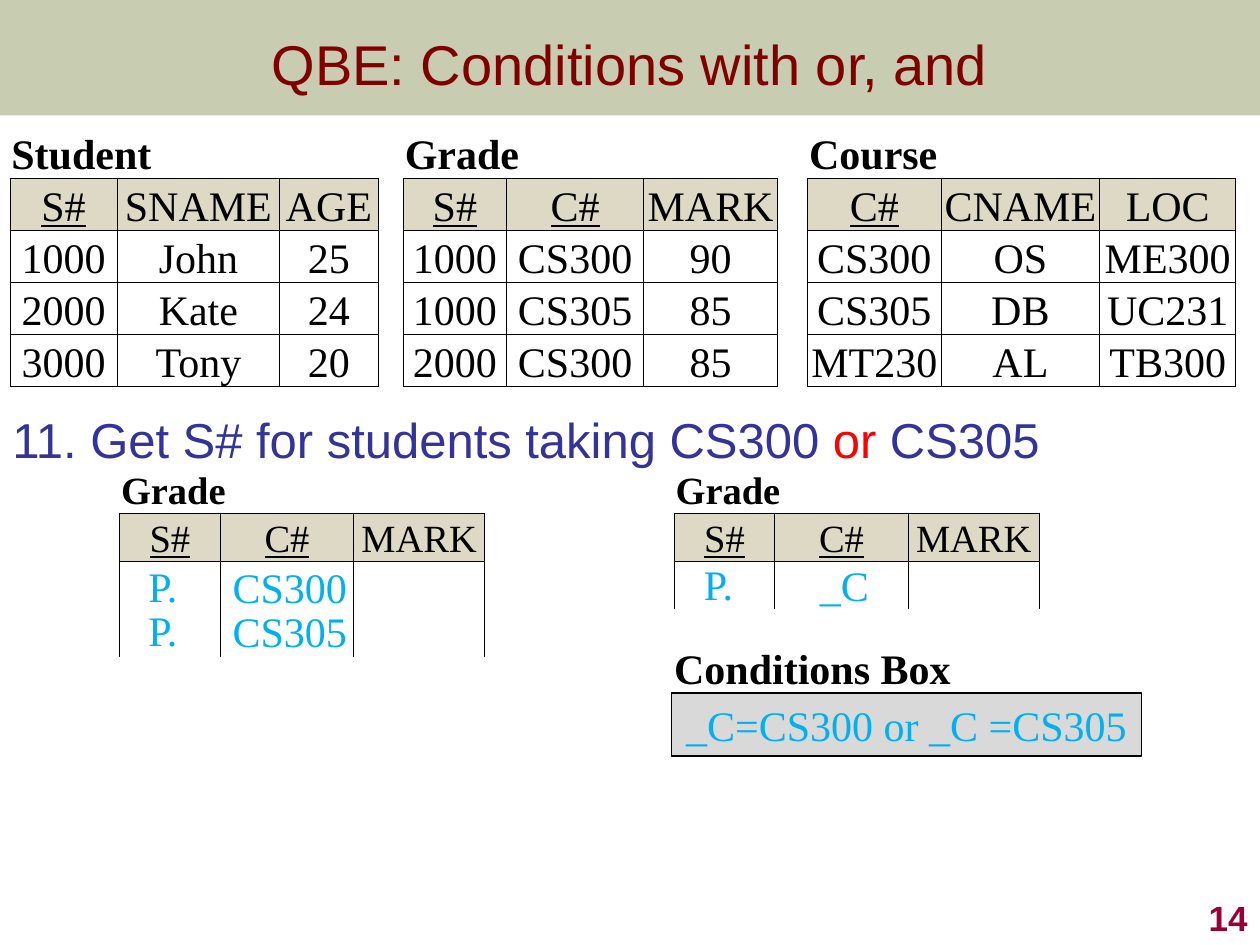
from lxml.etree import SubElement
from pptx import Presentation
from pptx.dml.color import RGBColor
from pptx.enum.shapes import MSO_SHAPE
from pptx.enum.text import MSO_ANCHOR as Anchor, MSO_AUTO_SIZE as AutoSize, PP_ALIGN as Align
from pptx.oxml import parse_xml
from pptx.oxml.ns import nsdecls, qn
from pptx.util import Cm, Pt

COLORS = {
    "band": "677228", "title": "800000", "question": "333399", "keyword": "FF0000",
    "number": "990033", "entry": "00B0F0", "text": "000000", "line": "000000",
    "header": "DDD9C4", "cell": "FFFFFF", "condition": "D9D9D9",
}
SANS, SERIF = "Arial", "Times New Roman"
KEYS = {"S#", "C#"}
GRADE_HEADER = ["S#", "C#", "MARK"]

# Relations: caption, column widths in cm, header, rows
RELATIONS = [
    ("Student", [2.16, 3.28, 1.98], ["S#", "SNAME", "AGE"],
     [["1000", "John", "25"], ["2000", "Kate", "24"], ["3000", "Tony", "20"]]),
    ("Grade", [2.08, 2.77, 2.69], GRADE_HEADER,
     [["1000", "CS300", "90"], ["1000", "CS305", "85"], ["2000", "CS300", "85"]]),
    ("Course", [2.69, 3.2, 2.74], ["C#", "CNAME", "LOC"],
     [["CS300", "OS", "ME300"], ["CS305", "DB", "UC231"], ["MT230", "AL", "TB300"]]),
]
RELATION_GAPS = [0.51, 0.61]


def color(name):
    return RGBColor.from_string(COLORS[name])


def add_run(paragraph, text, size, color_name, font=SERIF, bold=False, underline=False):
    run = paragraph.add_run()
    run.text = text
    run.font.name, run.font.size = font, Pt(size)
    run.font.bold, run.font.underline = bold, underline
    run.font.color.rgb = color(color_name)


def add_text_box(slide, left, top, width, height, wrap=True):
    shape = slide.shapes.add_textbox(Cm(left), Cm(top), Cm(width), Cm(height))
    shape.text_frame.word_wrap = wrap
    return shape.text_frame


def add_label(slide, text, left, top, width, color_name="entry", bold=False):
    frame = add_text_box(slide, left, top, width, 1.27, wrap=False)
    frame.auto_size = AutoSize.SHAPE_TO_FIT_TEXT
    add_run(frame.paragraphs[0], text, 24, color_name, bold=bold)


def add_box(slide, left, top, width, height, fill):
    shape = slide.shapes.add_shape(MSO_SHAPE.RECTANGLE, Cm(left), Cm(top), Cm(width), Cm(height))
    shape.shadow.inherit = False
    shape.fill.solid()
    shape.fill.fore_color.rgb = color(fill)
    shape.line.fill.background()
    return shape


def format_cell(cell, fill, edges):
    """Fill a cell and draw only the named edges (from L, R, T, B)."""
    cell.fill.solid()
    cell.fill.fore_color.rgb = color(fill)
    cell.margin_left = cell.margin_right = cell.margin_top = Cm(0.03)
    cell.margin_bottom = 0
    cell.vertical_anchor = Anchor.BOTTOM
    properties = cell._tc.get_or_add_tcPr()
    for index, edge in enumerate("LRTB"):
        paint = "<a:noFill/>"
        if edge in edges:
            paint = f'<a:solidFill><a:srgbClr val="{COLORS["line"]}"/></a:solidFill>'
        properties.insert(index, parse_xml(
            f'<a:ln{edge} {nsdecls("a")} w="{Pt(0.5)}">{paint}</a:ln{edge}>'))


def fill_relation(table, first, caption, header, rows, size):
    """Write one captioned relation; rows of None stay open for QBE entries."""
    last = first + len(header) - 1
    for column in range(first, last + 1):
        format_cell(table.cell(0, column), "cell", "B")
    table.cell(0, first).merge(table.cell(0, last))
    add_run(table.cell(0, first).text_frame.paragraphs[0], caption, size, "text", bold=True)
    for row, values in enumerate([header] + rows, start=1):
        for offset in range(len(header)):
            cell = table.cell(row, first + offset)
            if values is None:
                format_cell(cell, "cell", "LRT" if row == 2 else "LR")
                continue
            format_cell(cell, "header" if row == 1 else "cell", "LRTB")
            paragraph = cell.text_frame.paragraphs[0]
            paragraph.alignment = Align.CENTER
            text = values[offset]
            add_run(paragraph, text, size, "text", underline=text in KEYS)


def add_grid(slide, left, top, widths, row_count, row_height):
    frame = slide.shapes.add_table(row_count, len(widths), Cm(left), Cm(top),
                                   Cm(sum(widths)), Cm(row_height * row_count))
    table = frame.table
    table.first_row = table.horz_banding = False
    for column, width in zip(table.columns, widths):
        column.width = Cm(width)
    for row in table.rows:
        row.height = Cm(row_height)
    return table


def add_relations(slide):
    widths = []
    for index, (_, relation_widths, _, _) in enumerate(RELATIONS):
        widths += ([RELATION_GAPS[index - 1]] if index else []) + relation_widths
    table = add_grid(slide, 0.2, 2.54, widths, 5, 1.05)
    first = 0
    for caption, relation_widths, header, rows in RELATIONS:
        fill_relation(table, first, caption, header, rows, 24)
        first += len(relation_widths) + 1
        if first < len(widths):
            for row in range(5):
                format_cell(table.cell(row, first - 1), "cell", "LR" if row else "")


def add_query_table(slide, left, open_rows):
    table = add_grid(slide, left, 9.37, [2.03, 2.69, 2.64], 2 + open_rows, 0.97)
    fill_relation(table, 0, "Grade", GRADE_HEADER, [None] * open_rows, 22)


def add_title(slide):
    # Translucent band, placed behind the title
    band = add_box(slide, 0, 0, 25.4, 2.33, "band")
    SubElement(band.fill._xPr.find(".//" + qn("a:srgbClr")), qn("a:alpha"), val="36000")
    slide.shapes._spTree.insert(2, band._element)

    title = slide.shapes.title
    title.left, title.top, title.width, title.height = Cm(0), Cm(0), Cm(25.4), Cm(2.54)
    title.text_frame.vertical_anchor = Anchor.MIDDLE
    paragraph = title.text_frame.paragraphs[0]
    paragraph.alignment = Align.CENTER
    add_run(paragraph, "QBE: Conditions with or, and", 32, "title", SANS)


def add_question(slide):
    frame = add_text_box(slide, 0, 8.26, 25.4, 1.3)
    frame.margin_right = 0
    paragraph = frame.paragraphs[0]
    paragraph.line_spacing = 0.9
    for text, name in [("11. Get S# for students taking CS300", "question"),
                       (" or ", "keyword"), ("CS305", "question")]:
        add_run(paragraph, text, 28, name, SANS)


def add_condition_box(slide):
    add_label(slide, "Conditions Box", 13.34, 12.83, 6.15, "text", bold=True)
    box = add_box(slide, 13.54, 13.97, 9.47, 1.27, "condition")
    box.line.color.rgb = color("line")
    box.line.width = Pt(0.75)
    box.text_frame.word_wrap = False
    paragraph = box.text_frame.paragraphs[0]
    paragraph.alignment = Align.CENTER
    add_run(paragraph, "_C=CS300 or _C =CS305", 24, "entry")


def add_slide_number(slide):
    frame = add_text_box(slide, 20.12, 17.78, 5.28, 1.27)
    frame.vertical_anchor = Anchor.BOTTOM
    frame.paragraphs[0].alignment = Align.RIGHT
    add_run(frame.paragraphs[0], "14", 20, "number", SANS, bold=True)


def main():
    presentation = Presentation()
    presentation.slide_width, presentation.slide_height = Cm(25.4), Cm(19.05)
    slide = presentation.slides.add_slide(presentation.slide_layouts[5])

    add_title(slide)
    add_relations(slide)
    add_question(slide)

    # Query with one row per course
    add_query_table(slide, 2.41, 2)
    for index, course in enumerate(["CS300", "CS305"]):
        add_label(slide, "P.", 2.74, 11.18 + 0.89 * index, 1.12)
        add_label(slide, course, 4.44, 11.2 + 0.89 * index, 2.84)

    # Query with a condition box
    add_query_table(slide, 13.59, 1)
    add_label(slide, "P.", 13.94, 11.13, 1.12)
    add_label(slide, "_C", 16.28, 11.15, 1.5)
    add_condition_box(slide)

    add_slide_number(slide)
    presentation.save("out.pptx")


if __name__ == "__main__":
    main()
